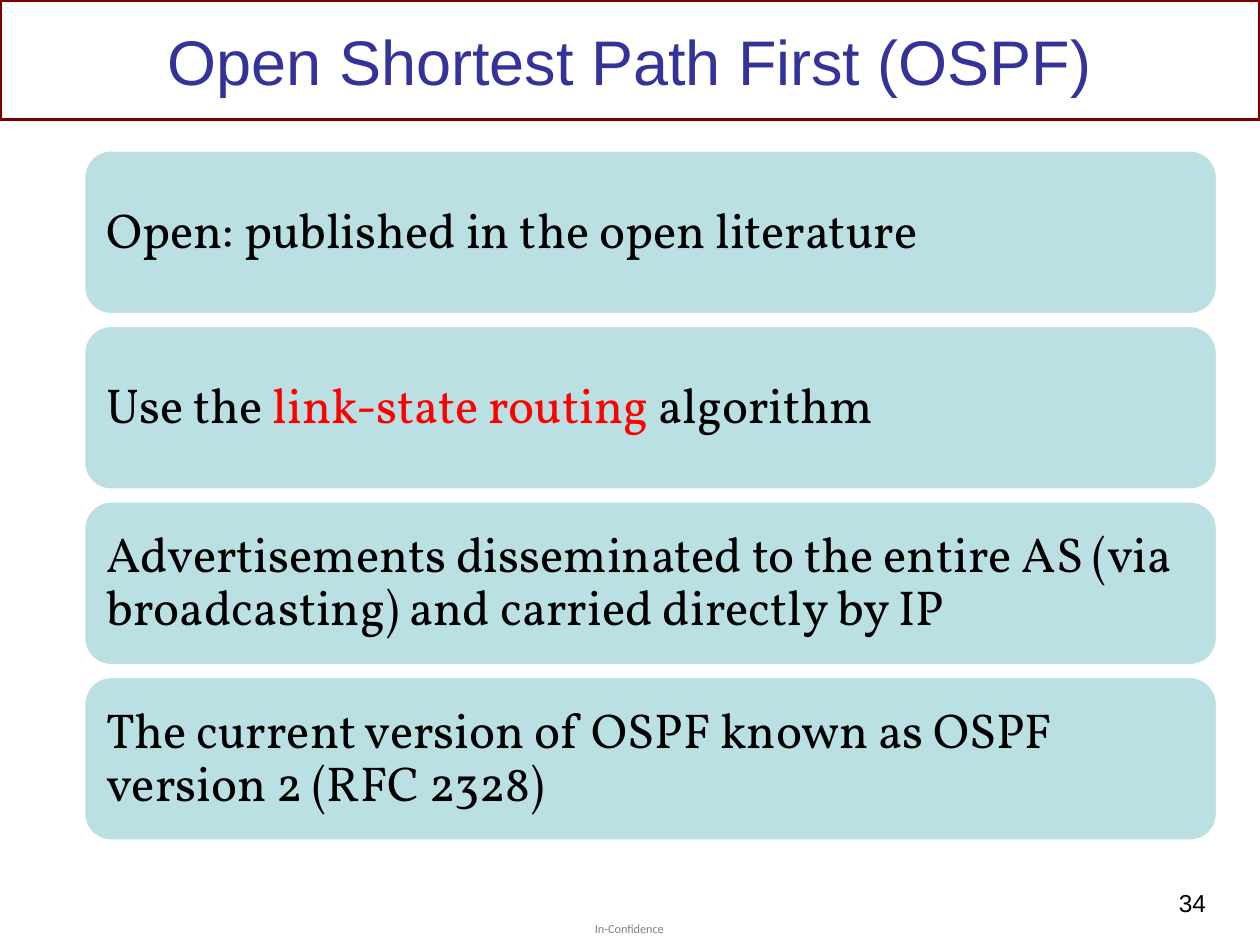
from pptx import Presentation
from pptx.dml.color import RGBColor
from pptx.enum.shapes import MSO_SHAPE
from pptx.enum.text import MSO_ANCHOR, PP_ALIGN
from pptx.util import Pt

BLACK, RED, NAVY, GREY = "000000", "FF0000", "333399", "808080"
MAROON, WHITE, TEAL = "800000", "FFFFFF", "BBE0E3"
SIDES = ("left", "top", "right", "bottom")


def color(code):
    return RGBColor.from_string(code)


class Deck:
    fonts = {
        "title": {"name": "Arial", "size": Pt(36)},
        "card": {"name": "Vollkorn", "size": Pt(28)},
        "number": {"name": "Arial", "size": Pt(14)},
        "footer": {"name": "Calibri", "size": Pt(7)},
    }

    def __init__(self, slide):
        self.slide = slide

    def label(self, shape, runs, style, align=PP_ALIGN.LEFT,
              pad=(7.2, 3.6, 7.2, 3.6), anchor=MSO_ANCHOR.TOP, wrap=True):
        """Fill a shape with one paragraph of (text, colour) runs."""
        frame = shape.text_frame
        form = {"word_wrap": wrap, "vertical_anchor": anchor}
        form.update({f"margin_{side}": Pt(gap) for side, gap in zip(SIDES, pad)})
        for key, value in form.items():
            setattr(frame, key, value)
        para = frame.paragraphs[0]
        para.alignment = align
        for text, code in runs:
            run = para.add_run()
            run.text = text
            for key, value in self.fonts[style].items():
                setattr(run.font, key, value)
            run.font.color.rgb = color(code)
        return para

    def text(self, box, runs, style, **form):
        shape = self.slide.shapes.add_textbox(*map(Pt, box))
        return self.label(shape, runs, style, **form)

    def shape(self, kind, box, line, fill=None):
        shape = self.slide.shapes.add_shape(kind, *map(Pt, box))
        shape.shadow.inherit = False
        shape.line.color.rgb = color(line)
        shape.line.width = Pt(2)
        if fill:
            shape.fill.solid()
            shape.fill.fore_color.rgb = color(fill)
        else:
            shape.fill.background()
        return shape

    def card(self, box, runs):
        shape = self.shape(MSO_SHAPE.ROUNDED_RECTANGLE, box, WHITE, TEAL)
        para = self.label(shape, runs, "card", pad=(8.6,) * 4,
                          anchor=MSO_ANCHOR.MIDDLE)
        para.line_spacing = 0.9


def main():
    show = Presentation()
    show.slide_width, show.slide_height = Pt(720), Pt(540)
    deck = Deck(show.slides.add_slide(show.slide_layouts[6]))

    deck.shape(MSO_SHAPE.RECTANGLE, (0, 0, 720, 68.4), MAROON)
    deck.text((340, 526.3, 41, 8.6), [("In-Confidence", GREY)], "footer",
              pad=(0,) * 4, wrap=False)
    deck.text((643, 504, 53.3, 36), [("34", BLACK)], "number",
              align=PP_ALIGN.RIGHT)
    deck.text((36, 5.8, 648, 56.9),
              [("Open Shortest Path First (OSPF)", NAVY)], "title",
              align=PP_ALIGN.CENTER, anchor=MSO_ANCHOR.MIDDLE)

    cards = [
        [("Open: published in the open literature", BLACK)],
        [("Use the ", BLACK), ("link-state routing ", RED),
         ("algorithm", BLACK)],
        [("Advertisements disseminated to the entire AS (via broadcasting) "
          "and carried directly by IP", BLACK)],
        [("The current version of OSPF known as OSPF version 2 (RFC 2328)",
          BLACK)],
    ]
    top, height, gap = 85.6, 94.2, 6.1
    for row, runs in enumerate(cards):
        deck.card((47.8, top + row * (height + gap), 648, height), runs)

    show.save("out.pptx")


if __name__ == "__main__":
    main()
